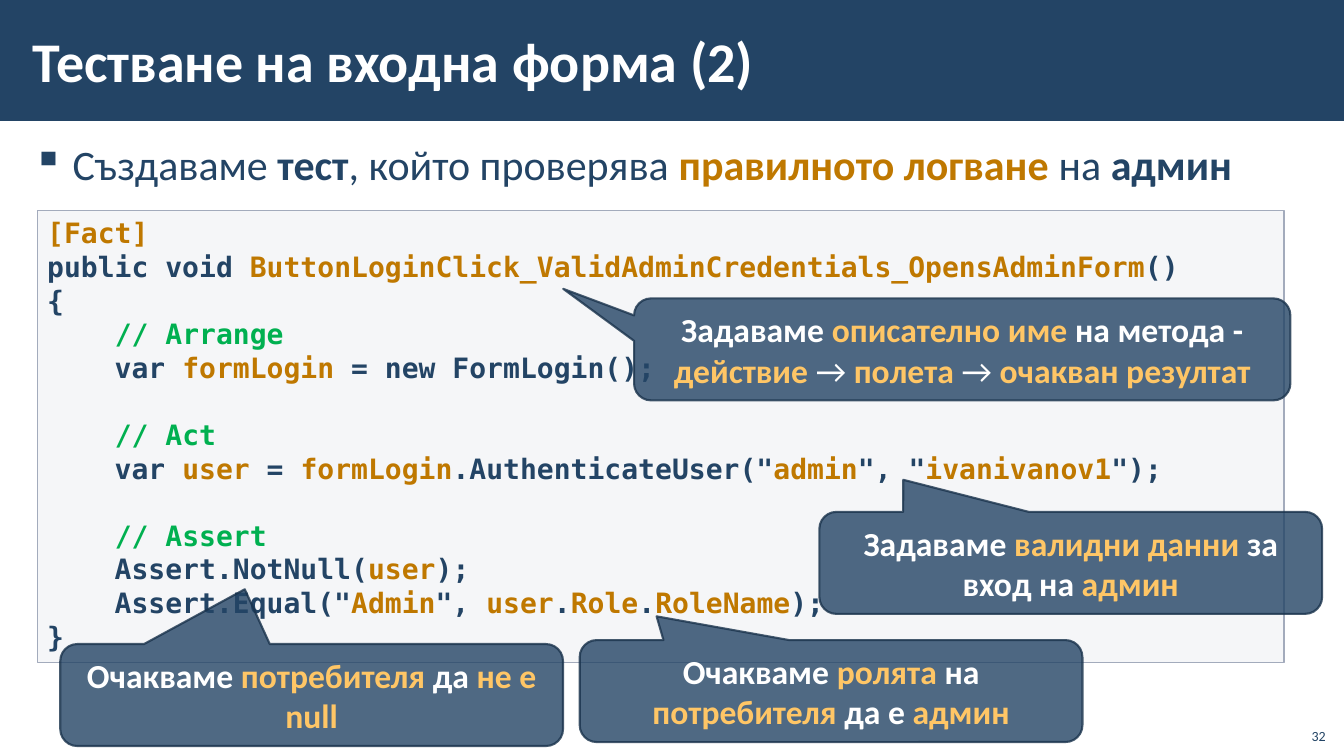
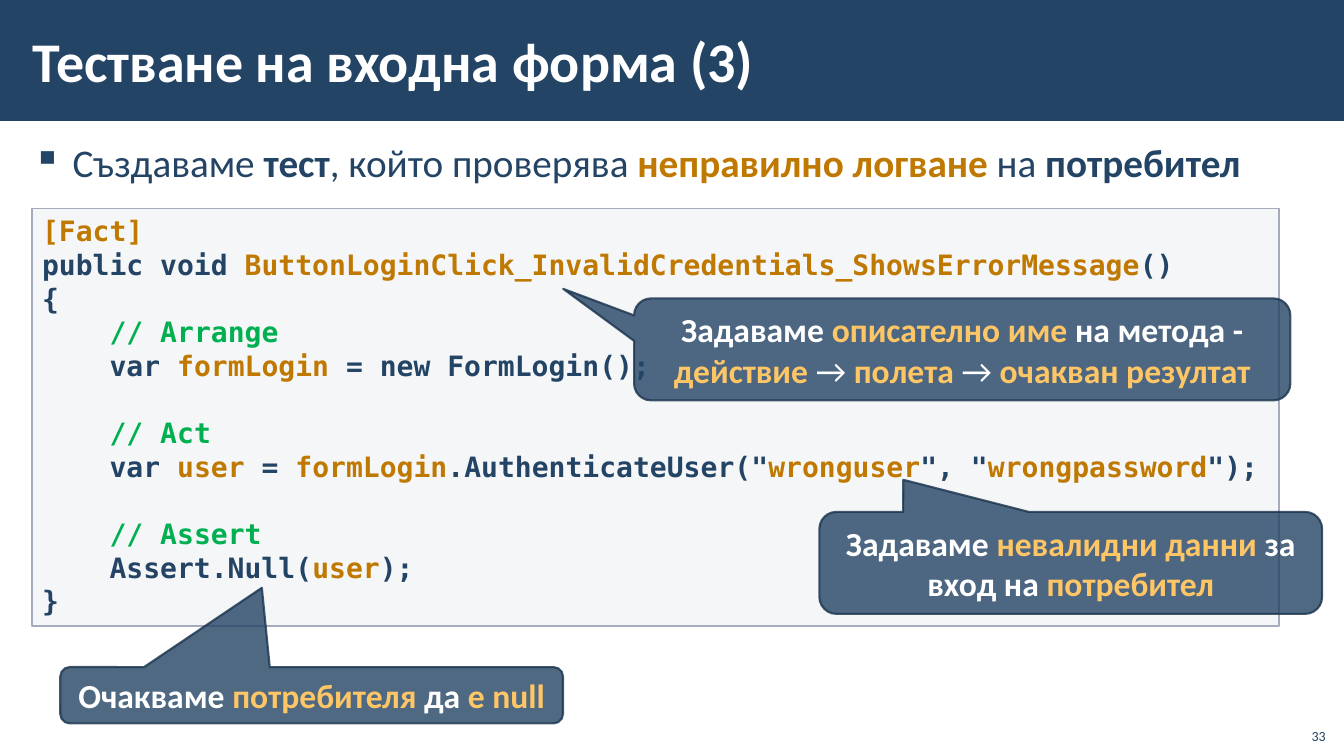
"""Build two slides on testing a login form."""
from lxml.etree import SubElement
from pptx import Presentation
from pptx.dml.color import RGBColor
from pptx.enum.shapes import MSO_SHAPE
from pptx.enum.text import MSO_ANCHOR, PP_ALIGN
from pptx.oxml.ns import qn
from pptx.util import Cm, Pt

NAVY = RGBColor(0x23, 0x44, 0x65)
INK = RGBColor(0x1A, 0x33, 0x4C)
OCHRE = RGBColor(0xBF, 0x78, 0x00)
AMBER = RGBColor(0xFF, 0xC6, 0x66)
GREEN = RGBColor(0x00, 0xB0, 0x50)
WHITE = RGBColor(0xFF, 0xFF, 0xFF)
PANEL = RGBColor(0xC2, 0xC7, 0xD2)
PANEL_EDGE = RGBColor(0xA3, 0xAB, 0xBC)
BODY_FONT, CODE_FONT = "Calibri", "DejaVu Sans Mono"

BODY_MARKS = {"~": (OCHRE, True), "*": (NAVY, True)}
CODE_MARKS = {"~": (OCHRE, True), "#": (GREEN, True)}
CALLOUT_MARKS = {"~": (AMBER, True), "^": (WHITE, False)}

SLIDE_WIDTH, SLIDE_HEIGHT = 33.87, 19.05
BAND = (0, 0, SLIDE_WIDTH, 3.05)
TITLE = (0.53, 0.28, 28.53, 2.46)
LEAD = (0.53, 3.33, 32.82, 1.8)
NUMBER = (32.64, 18.08, 1.02, 0.81)
CODE_WIDTH, CODE_ROW, CODE_PADDING = 31.42, 0.86, 0.2

NAME_CALLOUT = (
    (15.98, 7.52, 16.54, 2.57), (-0.608, -0.594),
    "Задаваме |~описателно име |на метода - |~действие |^→ |~полета |^→ |~очакван резултат",
)
DATA_BOX, DATA_TIP = (20.65, 12.9, 12.67, 2.57), (-0.333, -0.815)

SLIDES = [
    {
        "number": "32",
        "title": "Тестване на входна форма (2)",
        "lead": "Създаваме |*тест|, който проверява |~правилното логване |на |*админ",
        "lead_size": 30,
        "code_at": (0.94, 5.31),
        "code": """|~[Fact]
public void |~ButtonLoginClick_ValidAdminCredentials_OpensAdminForm|()
{
    |#// Arrange
    var |~formLogin| = new FormLogin();

    |#// Act
    var |~user| = |~formLogin|.AuthenticateUser("|~admin|", "|~ivanivanov1|");

    |#// Assert
    Assert.NotNull(|~user|);
    Assert.Equal("|~Admin|", |~user|.|~Role|.|~RoleName|);
}""",
        "callouts": [
            NAME_CALLOUT,
            (DATA_BOX, DATA_TIP, "Задаваме |~валидни данни |за вход на |~админ"),
            ((14.61, 16.13, 12.67, 2.57), (-0.347, -0.733),
             "Очакваме |~ролята| на |~потребителя| да е |~админ"),
            ((1.52, 16.23, 12.67, 2.57), (-0.133, -1.037),
             "Очакваме |~потребителя |да |~не е null"),
        ],
    },
    {
        "number": "33",
        "title": "Тестване на входна форма (3)",
        "lead": "Създаваме |*тест|, който проверява |~неправилно логване |на |*потребител",
        "lead_size": 28,
        "code_at": (0.81, 5.26),
        "code": """|~[Fact]
public void |~ButtonLoginClick_InvalidCredentials_ShowsErrorMessage|()
{
    |#// Arrange
    var |~formLogin| = new FormLogin();

    |#// Act
    var |~user| = |~formLogin|.AuthenticateUser("|~wronguser|", "|~wrongpassword|");

    |#// Assert
    Assert.Null(|~user|);
}""",
        "callouts": [
            NAME_CALLOUT,
            (DATA_BOX, DATA_TIP, "Задаваме |~невалидни данни |за вход на |~потребител"),
            ((1.52, 16.81, 12.67, 1.42), (-0.099, -1.907),
             "Очакваме |~потребителя |да| ~ е null".replace("| ~", "|~")),
        ],
    },
]


def write(shape, text, *, size, color, font=BODY_FONT, bold=False, marks=None,
          align=PP_ALIGN.LEFT, anchor=MSO_ANCHOR.TOP, inset=(0.25, 0.13), bullet=None):
    frame = shape.text_frame
    frame.word_wrap = True
    frame.vertical_anchor = anchor
    frame.margin_left = frame.margin_right = Cm(inset[0])
    frame.margin_top = frame.margin_bottom = Cm(inset[1])
    for index, line in enumerate(text.split("\n")):
        paragraph = frame.paragraphs[0] if index == 0 else frame.add_paragraph()
        paragraph.alignment = align
        if bullet:
            add_bullet(paragraph, bullet, color)
        paragraph.font.size = Pt(size)
        pieces = line.split("|")
        for piece in pieces if len(pieces) == 1 else filter(None, pieces):
            mark = (marks or {}).get(piece[:1])
            run = paragraph.add_run()
            run.text = piece[1:] if mark else piece
            run.font.name = font
            run.font.size = Pt(size)
            run.font.color.rgb, run.font.bold = mark or (color, bold)


def add_bullet(paragraph, character, color):
    properties = paragraph._p.get_or_add_pPr()
    properties.set("marL", str(Cm(1)))
    properties.set("indent", str(Cm(-1)))
    tint = SubElement(properties, qn("a:buClr"))
    SubElement(tint, qn("a:srgbClr")).set("val", str(color))
    SubElement(properties, qn("a:buChar")).set("char", character)
    paragraph.line_spacing = 1.05
    paragraph.space_after = Pt(6)


def set_opacity(format_element, percent):
    for tint in format_element.iter(qn("a:srgbClr")):
        SubElement(tint, qn("a:alpha")).set("val", str(percent * 1000))


def add_block(slide, box, fill, preset=MSO_SHAPE.RECTANGLE, opacity=100,
              edge=None, edge_width=1, edge_opacity=100):
    block = slide.shapes.add_shape(preset, *map(Cm, box))
    block.shadow.inherit = False
    block.fill.solid()
    block.fill.fore_color.rgb = fill
    if opacity < 100:
        set_opacity(block._element.spPr.find(qn("a:solidFill")), opacity)
    if edge is None:
        block.line.fill.background()
    else:
        block.line.color.rgb = edge
        block.line.width = Pt(edge_width)
        if edge_opacity < 100:
            set_opacity(block._element.spPr.find(qn("a:ln")), edge_opacity)
    return block


def add_text(slide, box, text, **style):
    write(slide.shapes.add_textbox(*map(Cm, box)), text, **style)


def add_code(slide, position, code):
    height = len(code.split("\n")) * CODE_ROW + CODE_PADDING
    panel = add_block(slide, (*position, CODE_WIDTH, height), PANEL, opacity=15, edge=PANEL_EDGE)
    write(panel, code, size=20, color=NAVY, font=CODE_FONT, bold=True, marks=CODE_MARKS)


def add_callout(slide, box, tip, text):
    callout = add_block(slide, box, NAVY, MSO_SHAPE.ROUNDED_RECTANGULAR_CALLOUT, opacity=80,
                        edge=INK, edge_width=1.5, edge_opacity=80)
    callout.adjustments[0], callout.adjustments[1] = tip
    write(callout, text, size=24, color=WHITE, bold=True, marks=CALLOUT_MARKS,
          align=PP_ALIGN.CENTER, anchor=MSO_ANCHOR.MIDDLE)


def add_slide(deck, content):
    slide = deck.slides.add_slide(deck.slide_layouts[6])
    add_block(slide, BAND, NAVY)
    add_text(slide, NUMBER, content["number"], size=10, color=NAVY,
             align=PP_ALIGN.RIGHT, anchor=MSO_ANCHOR.BOTTOM)
    add_text(slide, LEAD, content["lead"], size=content["lead_size"], color=NAVY,
             marks=BODY_MARKS, inset=(0.3, 0.1), bullet="▪")
    add_text(slide, TITLE, content["title"], size=40, color=WHITE, bold=True,
             anchor=MSO_ANCHOR.MIDDLE, inset=(0.3, 0.1))
    add_code(slide, content["code_at"], content["code"])
    for box, tip, text in content["callouts"]:
        add_callout(slide, box, tip, text)


def main():
    deck = Presentation()
    deck.slide_width, deck.slide_height = Cm(SLIDE_WIDTH), Cm(SLIDE_HEIGHT)
    for content in SLIDES:
        add_slide(deck, content)
    deck.save("out.pptx")


if __name__ == "__main__":
    main()
